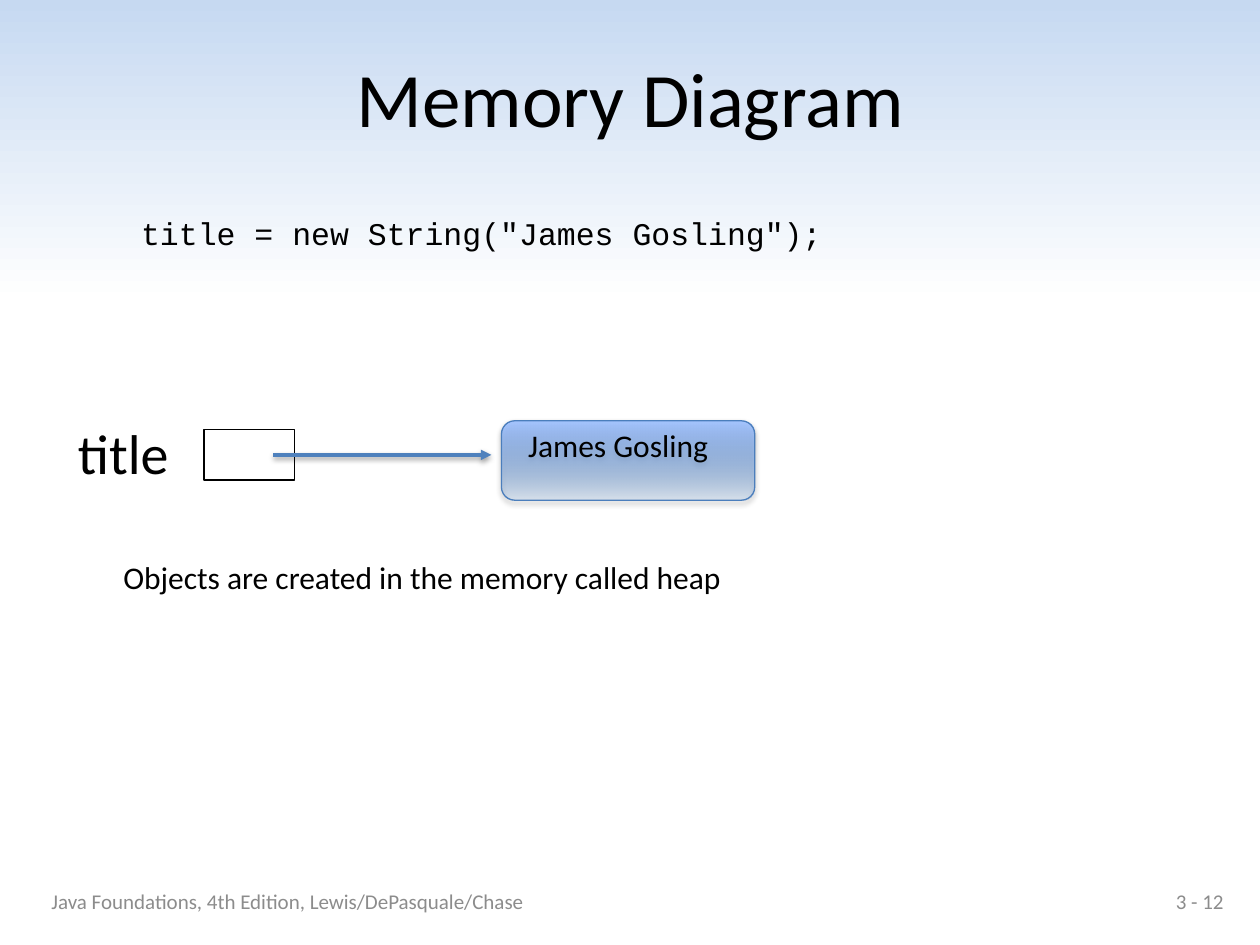
"""Build the Memory Diagram slide showing a reference to a String object."""
from dataclasses import dataclass

from lxml import etree
from pptx import Presentation
from pptx.dml.color import RGBColor
from pptx.enum.shapes import MSO_CONNECTOR, MSO_SHAPE
from pptx.enum.text import MSO_ANCHOR, PP_ALIGN
from pptx.oxml import parse_xml
from pptx.oxml.ns import nsdecls, qn
from pptx.util import Inches, Pt

LEFT, CENTER, RIGHT = PP_ALIGN.LEFT, PP_ALIGN.CENTER, PP_ALIGN.RIGHT
TOP, MIDDLE = MSO_ANCHOR.TOP, MSO_ANCHOR.MIDDLE
RECTANGLE, ROUNDED = MSO_SHAPE.RECTANGLE, MSO_SHAPE.ROUNDED_RECTANGLE
STRAIGHT = MSO_CONNECTOR.STRAIGHT

BLACK = RGBColor(0x00, 0x00, 0x00)
WHITE = RGBColor(0xFF, 0xFF, 0xFF)
GRAY = RGBColor(0x8C, 0x8C, 0x8C)
SKY = RGBColor(0xC6, 0xD9, 0xF1)
ARROW_BLUE = RGBColor(0x4F, 0x81, 0xBD)
OBJECT_LINE = RGBColor(0x4B, 0x7E, 0xBC)
OBJECT_DEEP = RGBColor(0x3F, 0x80, 0xCE)
OBJECT_LIGHT = RGBColor(0xA4, 0xC4, 0xFF)


@dataclass(frozen=True)
class Label:
    text: str
    left: float
    top: float
    width: float
    height: float
    size: float
    color: RGBColor = BLACK
    font: str = "Calibri"
    alignment: PP_ALIGN = LEFT
    anchor: MSO_ANCHOR = TOP


LABELS = (
    Label("Memory Diagram", 0.19, 0.3, 9.63, 0.94, 44, alignment=CENTER, anchor=MIDDLE),
    Label("title", 0.52, 3.27, 1.05, 0.64, 32),
    Label("Java Foundations, 4th Edition, Lewis/DePasquale/Chase",
          0.31, 6.95, 7.17, 0.4, 12, GRAY, anchor=MIDDLE),
    Label("3 - 12", 7.48, 6.95, 2.33, 0.4, 12, GRAY, alignment=RIGHT, anchor=MIDDLE),
    Label('title = new String("James Gosling");',
          0.31, 1.65, 7.02, 0.4, 18, font="Courier New", alignment=CENTER),
    Label("Objects are created in the memory called heap", 0.88, 4.38, 5.29, 0.4, 18),
)


def write_text(shape, text: str, size: float, color: RGBColor, font: str,
               alignment: PP_ALIGN, anchor: MSO_ANCHOR) -> None:
    frame = shape.text_frame
    frame.word_wrap = True
    frame.vertical_anchor = anchor
    paragraph = frame.paragraphs[0]
    paragraph.text = text
    paragraph.alignment = alignment
    paragraph.font.size = Pt(size)
    paragraph.font.name = font
    paragraph.font.color.rgb = color


def add_label(slide, label: Label) -> None:
    box = slide.shapes.add_textbox(Inches(label.left), Inches(label.top),
                                   Inches(label.width), Inches(label.height))
    write_text(box, label.text, label.size, label.color, label.font,
               label.alignment, label.anchor)


def add_box(slide, kind: MSO_SHAPE, left: float, top: float, width: float,
            height: float, line_color: RGBColor):
    shape = slide.shapes.add_shape(kind, Inches(left), Inches(top),
                                   Inches(width), Inches(height))
    shape.shadow.inherit = False
    shape.fill.background()
    shape.line.color.rgb = line_color
    shape.line.width = Pt(0.75)
    return shape


def set_upward_gradient(fill, start: float, bottom: RGBColor, top: RGBColor) -> None:
    fill.gradient()
    fill.gradient_angle = 90
    for stop, position, color in zip(fill.gradient_stops, (start, 1), (bottom, top)):
        stop.position = position
        stop.color.rgb = color


def add_shadow(shape, opacity: int, distance: float) -> None:
    properties = shape._element.spPr
    for effects in properties.findall(qn("a:effectLst")):
        properties.remove(effects)
    properties.append(parse_xml(
        f'<a:effectLst {nsdecls("a")}><a:outerShdw blurRad="{Pt(3.1)}" '
        f'dist="{Pt(distance)}" dir="5400000" rotWithShape="0"><a:srgbClr val="{BLACK}">'
        f'<a:alpha val="{opacity * 1000}"/></a:srgbClr></a:outerShdw></a:effectLst>'))


def add_reference_arrow(slide) -> None:
    arrow = slide.shapes.add_connector(STRAIGHT, Inches(2.17), Inches(3.61),
                                       Inches(3.9), Inches(3.61))
    arrow.line.color.rgb = ARROW_BLUE
    arrow.line.width = Pt(2)
    etree.SubElement(arrow.line._get_or_add_ln(), qn("a:tailEnd"), type="triangle")
    add_shadow(arrow, 38, 1.6)


def add_string_object(slide) -> None:
    shape = add_box(slide, ROUNDED, 3.98, 3.34, 2.01, 0.63, OBJECT_LINE)
    set_upward_gradient(shape.fill, 0, OBJECT_DEEP, OBJECT_LIGHT)
    deep_color = next(shape._element.spPr.iter(qn("a:srgbClr")))
    etree.SubElement(deep_color, qn("a:alpha"), val="13000")
    add_shadow(shape, 35, 1.8)
    write_text(shape, "James Gosling", 18, BLACK, "Calibri", LEFT, TOP)
    shape.text_frame.margin_left = Inches(0.18)
    shape.text_frame.margin_top = Inches(0.01)


def main() -> None:
    presentation = Presentation()
    presentation.slide_width = Inches(10)
    presentation.slide_height = Inches(7.5)
    slide = presentation.slides.add_slide(presentation.slide_layouts[6])
    set_upward_gradient(slide.background.fill, 0.68, WHITE, SKY)
    for label in LABELS:
        add_label(slide, label)
    add_box(slide, RECTANGLE, 1.62, 3.41, 0.72, 0.4, BLACK)
    add_reference_arrow(slide)
    add_string_object(slide)
    presentation.save("out.pptx")


if __name__ == "__main__":
    main()
